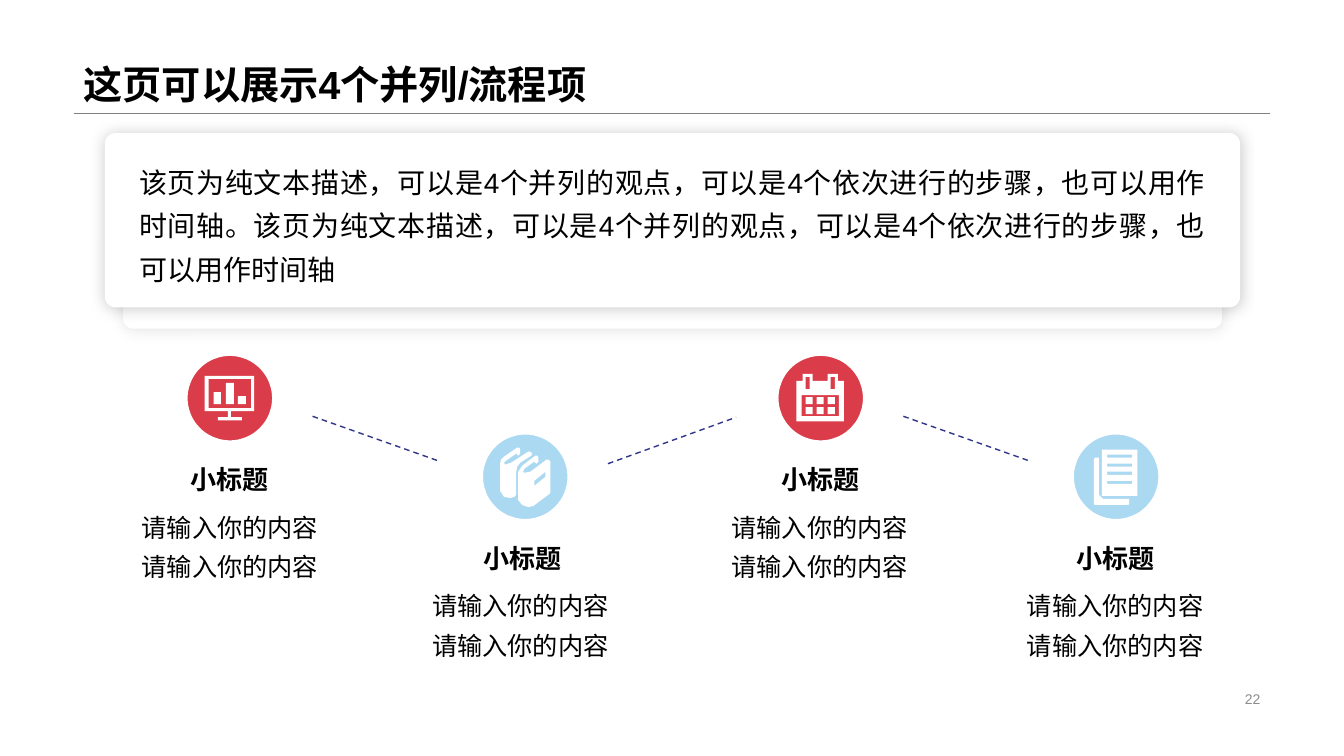
"""Build a slide with a text card above four zigzag items."""
from lxml import etree
from pptx import Presentation
from pptx.dml.color import RGBColor as RGB
from pptx.enum.dml import MSO_LINE
from pptx.enum.shapes import MSO_CONNECTOR, MSO_SHAPE
from pptx.enum.text import MSO_ANCHOR as ANCHOR, MSO_AUTO_SIZE, PP_ALIGN as ALIGN
from pptx.oxml.ns import qn
from pptx.util import Inches, Pt

THEME = {
    "font": "Arial",
    "ink": RGB.from_string("000000"), "muted": RGB.from_string("8C8C8C"),
    "white": RGB.from_string("FFFFFF"), "rule": RGB.from_string("808080"),
    "red": RGB.from_string("DA3C49"), "blue": RGB.from_string("ACD9F2"),
    "link": RGB.from_string("303689"),
    "title": Pt(28), "lead": Pt(20), "head": Pt(18.6), "body": Pt(18), "page": Pt(10),
}
BARE = {"margin_left": 0, "margin_right": 0, "margin_top": 0, "margin_bottom": 0}
STYLES = {
    "title": ({"vertical_anchor": ANCHOR.BOTTOM},
              {"alignment": ALIGN.LEFT, "line_spacing": 0.9}, {"bold": True}),
    "lead": ({"vertical_anchor": ANCHOR.MIDDLE, **BARE},
             {"alignment": ALIGN.JUSTIFY, "line_spacing": 1.3}, {}),
    "head": ({"vertical_anchor": ANCHOR.BOTTOM},
             {"alignment": ALIGN.CENTER, "line_spacing": 1.3}, {"bold": True}),
    "body": ({"vertical_anchor": ANCHOR.TOP},
             {"alignment": ALIGN.CENTER, "line_spacing": 1.3}, {}),
    "page": ({"vertical_anchor": ANCHOR.MIDDLE}, {"alignment": ALIGN.RIGHT}, {}),
}
COL, LEFT, DISC = 2.93, 1.83, 0.9
ROWS = {"red": 3.5, "blue": 4.28}
UNIT = Inches(0.01)

CHART = [
    [(20, 23), (69, 23), (69, 58), (46, 58), (46, 64), (57, 64), (57, 67),
     (33, 67), (33, 64), (43, 64), (43, 58), (20, 58)],
    (24, 26, 66, 55), (29, 39, 36, 51), (41, 30, 49, 51), (53, 43, 61, 51),
]
BOOKS = [
    [(36, 41), (36, 63), (34, 65), (30, 66), (24, 65), (20, 59), (20, 32), (21, 28),
     (24, 25), (37, 16), (39, 16), (40, 18), (40, 22), (38, 24), (36, 22), (26, 29),
     (24, 31), (25, 33), (31, 31), (48, 20), (50, 20), (52, 22), (51, 24), (40, 31), (37, 35)],
    [(70, 30), (70, 60), (69, 62), (53, 74), (48, 75), (42, 73), (38, 68), (38, 40),
     (42, 34), (55, 24), (57, 24), (58, 26), (58, 30), (56, 32), (54, 30), (44, 37),
     (43, 40), (44, 41), (50, 40), (66, 28), (68, 28)],
    [(65, 40), (54, 49), (54, 54), (65, 45)],
]
CALENDAR = [
    [(21, 28), (27, 28), (27, 21), (37, 21), (37, 28), (52, 28), (52, 21), (62, 21),
     (62, 28), (68, 28), (68, 68), (21, 68)],
    (30, 24, 34, 36), (55, 24, 59, 36), (26, 42, 63, 63),
    *[(x, y, x + 7, y + 7) for y in (44, 54) for x in (30, 41, 52)],
]
PAGES = [
    [(28, 26), (28, 63), (32, 67), (58, 67), (58, 72), (57, 73), (24, 73), (23, 72),
     (23, 27), (24, 26)],
    (31, 18, 66, 64),
    *[(36, y, 61, y + 3) for y in (23, 32, 40, 49)],
]
ITEMS = [("red", CHART, 1.1, 1.22), ("blue", BOOKS, 4.01, 4.1),
         ("red", CALENDAR, 6.96, 7.07), ("blue", PAGES, 9.89, 10)]


def write(sp, text, style, color="ink"):
    """Fill a shape with one paragraph in a named style."""
    frame, para, font = STYLES[style]
    tf = sp.text_frame
    p = tf.paragraphs[0]
    r = p.add_run()
    r.text = text
    base = {"name": THEME["font"], "size": THEME[style], "bold": False}
    wrap = {"word_wrap": True, "auto_size": MSO_AUTO_SIZE.NONE}
    for target, formats in ((tf, {**wrap, **frame}), (p, para), (r.font, {**base, **font})):
        for name, value in formats.items():
            setattr(target, name, value)
    r.font.color.rgb = THEME[color]


def draw_line(x1, y1, x2, y2, color, width, dash=None):
    """Draw a straight line without a shadow."""
    c = s.shapes.add_connector(MSO_CONNECTOR.STRAIGHT, *map(Inches, (x1, y1, x2, y2)))
    c.line.color.rgb = THEME[color]
    c.line.width = Pt(width)
    c.line.dash_style = dash
    etree.SubElement(c._element.spPr, qn("a:effectLst"))


prs = Presentation()
prs.slide_width, prs.slide_height = Inches(13.33), Inches(7.5)
s = prs.slides.add_slide(prs.slide_layouts[5])

title = s.shapes.title
for name, value in {"left": 0.73, "top": 0, "width": 11.87, "height": 1.12}.items():
    setattr(title, name, Inches(value))
write(title, "这页可以展示4个并列/流程项", "title")
draw_line(0.73, 1.12, 12.6, 1.12, "rule", 0.25)

for place, opacity in (((1.22, 1.64, 10.9, 1.62), 11), ((1.04, 1.32, 11.26, 1.73), 20)):
    card = s.shapes.add_shape(MSO_SHAPE.ROUNDED_RECTANGLE, *map(Inches, place))
    card.adjustments[0] = 0.062
    card.fill.solid()
    card.fill.fore_color.rgb = THEME["white"]
    card.line.fill.background()
    card.shadow.inherit = False
    effects = card._element.spPr.find(qn("a:effectLst"))
    shadow = etree.SubElement(effects, qn("a:outerShdw"), blurRad=str(Pt(10)), dist="0",
                              algn="ctr", rotWithShape="0")
    tint = etree.SubElement(shadow, qn("a:srgbClr"), val=str(THEME["ink"]))
    etree.SubElement(tint, qn("a:alpha"), val=str(opacity * 1000))

lead = s.shapes.add_textbox(*map(Inches, (1.38, 1.34, 10.57, 1.7)))
write(lead, "该页为纯文本描述，可以是4个并列的观点，可以是4个依次进行的步骤，也可以用作时间轴。"
            "该页为纯文本描述，可以是4个并列的观点，可以是4个依次进行的步骤，也可以用作时间轴", "lead")

for i, (color, icon, head_x, body_x) in enumerate(ITEMS):
    x, y = LEFT + i * COL, ROWS[color]
    disc = s.shapes.add_shape(MSO_SHAPE.OVAL, *map(Inches, (x, y, DISC, DISC)))
    disc.line.color.rgb = THEME["white"]
    disc.line.width = Pt(4.5)

    contours = [c if isinstance(c, list) else
                [(c[0], c[1]), (c[2], c[1]), (c[2], c[3]), (c[0], c[3])] for c in icon]
    pen = s.shapes.build_freeform(*contours[0][0], scale=UNIT)
    for n, points in enumerate(contours):
        if n:
            pen.move_to(*points[0])
        pen.add_line_segments(points[1:], close=True)
    glyph = pen.convert_to_shape(Inches(x), Inches(y))
    glyph.line.fill.background()

    for sp, fill in ((disc, color), (glyph, "white")):
        sp.fill.solid()
        sp.fill.fore_color.rgb = THEME[fill]
        sp.shadow.inherit = False

    head = s.shapes.add_textbox(*map(Inches, (head_x, y + 0.98, 2.35, 0.48)))
    write(head, "小标题", "head")
    body = s.shapes.add_textbox(*map(Inches, (body_x, y + 1.44, 2.12, 1.25)))
    write(body, "请输入你的内容" * 2, "body")

for i in range(len(ITEMS) - 1):
    x = 3.1 + i * COL
    start, end = (4.6, 4.14) if i % 2 else (4.13, 4.58)
    draw_line(x, start, x + 1.27, end, "link", 1, MSO_LINE.DASH)

page = s.shapes.add_textbox(*map(Inches, (9.42, 6.82, 3.18, 0.23)))
write(page, "22", "page", "muted")

prs.save("out.pptx")
